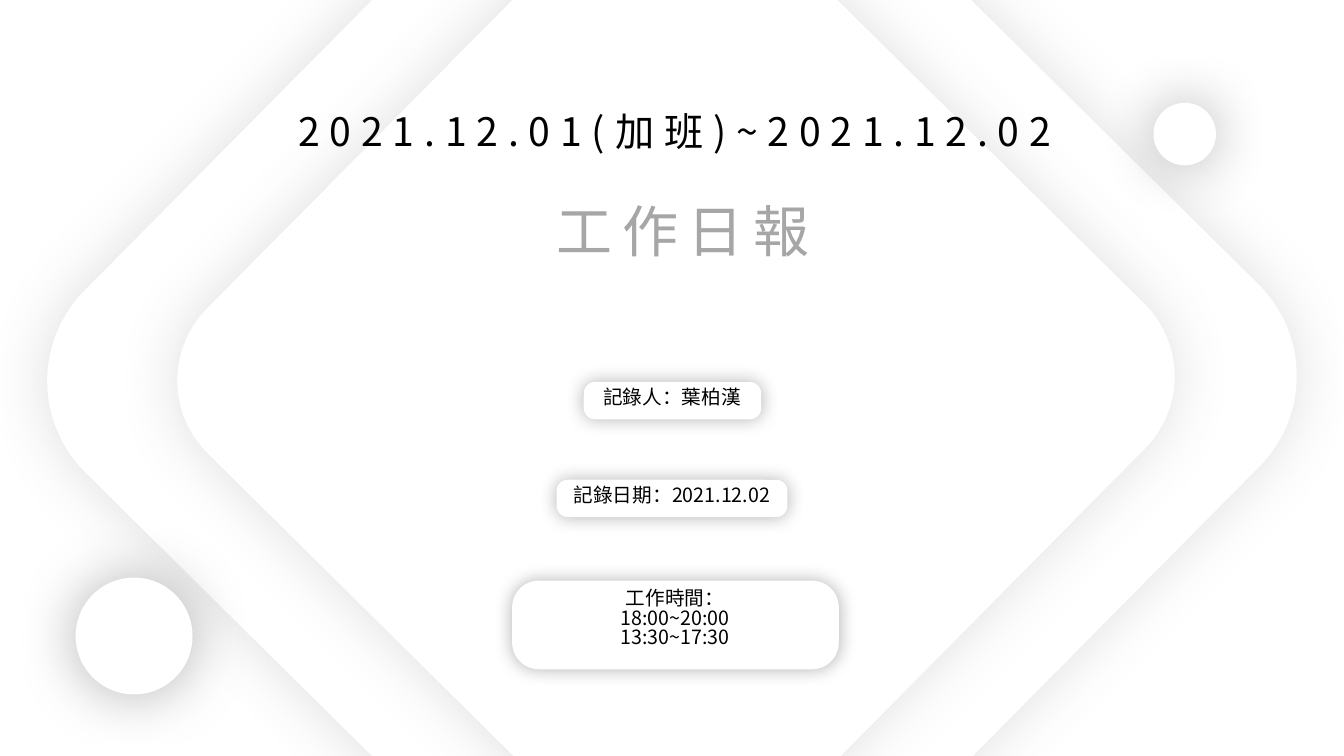
from lxml import etree
from pptx import Presentation
from pptx.dml.color import RGBColor
from pptx.enum import shapes, text
from pptx.oxml import ns
from pptx.util import Inches, Pt

FONT = "Noto Sans CJK SC"
COLORS = {"white": "FFFFFF", "black": "000000", "shade": "595959", "title": "A6A6A6"}
ROUNDED = shapes.MSO_SHAPE.ROUNDED_RECTANGLE
OVAL = shapes.MSO_SHAPE.OVAL


def add_glow(shape, color, opacity, blur):
    """Give the shape a soft shadow that spreads evenly on all sides."""
    shape.shadow.inherit = False
    effects = shape.element.spPr.find(ns.qn("a:effectLst"))
    shadow = etree.SubElement(effects, ns.qn("a:outerShdw"), blurRad=str(Pt(blur)),
                              dist="0", dir="0", algn="ctr", rotWithShape="0")
    tint = etree.SubElement(shadow, ns.qn("a:srgbClr"), val=COLORS[color])
    etree.SubElement(tint, ns.qn("a:alpha"), val=str(opacity * 1000))


def add_white_shape(parent, kind, place, color="black", opacity=30, blur=43):
    shape = parent.shapes.add_shape(kind, *map(Inches, place))
    shape.fill.solid()
    shape.fill.fore_color.rgb = RGBColor.from_string(COLORS["white"])
    shape.line.fill.background()
    add_glow(shape, color, opacity, blur)
    return shape


def add_diamond(page, left, top, side):
    diamond = add_white_shape(page, ROUNDED, (left, top, side, side), "shade", 19)
    diamond.adjustments[0] = 0.134
    diamond.rotation = 44.7


def write(box, words, size, color="black", spacing=0):
    frame = box.text_frame
    frame.text = words
    frame.word_wrap = True
    frame.auto_size = text.MSO_AUTO_SIZE.SHAPE_TO_FIT_TEXT
    frame.vertical_anchor = text.MSO_ANCHOR.TOP
    for para in frame.paragraphs:
        para.alignment = text.PP_ALIGN.CENTER
        para.line_spacing = 0.84
        for span in para.runs:
            span.font.size = Pt(size)
            span.font.name = FONT
            span.font.color.rgb = RGBColor.from_string(COLORS[color])
            props = span.font._element
            etree.SubElement(props, ns.qn("a:ea"), typeface=FONT)
            if spacing:
                props.set("spc", str(spacing * 100))


def add_label(page, pill_place, text_place, words):
    """Group a rounded pill with the text box that lies on it."""
    group = page.shapes.add_group_shape()
    pill = add_white_shape(group, ROUNDED, pill_place, blur=13)
    pill.adjustments[0] = 0.302
    write(group.shapes.add_textbox(*map(Inches, text_place)), words, 14)


def place_title(page):
    title = page.shapes.title
    title.left, title.top, title.width, title.height = map(Inches, (4.4, 2.01, 4.75, 0.77))
    write(title, "工作日報", 40, "title", 7)
    # The title has to lie in front of the diamonds.
    title.element.getparent().append(title.element)


def main():
    deck = Presentation()
    deck.slide_width, deck.slide_height = Inches(13.33), Inches(7.5)
    page = deck.slides.add_slide(deck.slide_layouts[5])
    page.background.fill.solid()
    page.background.fill.fore_color.rgb = RGBColor.from_string(COLORS["white"])

    add_diamond(page, 1.91, -1, 9.51)
    add_diamond(page, 2.91, -0.04, 7.59)

    period = page.shapes.add_textbox(*map(Inches, (2.66, 1.09, 8.07, 0.57)))
    write(period, "2021.12.01(加班)~2021.12.02", 28, spacing=7)
    place_title(page)

    for left, top, size in ((0.75, 5.73, 1.16), (11.44, 1.02, 0.62)):
        add_white_shape(page, OVAL, (left, top, size, size))

    add_label(page, (5.79, 3.79, 1.76, 0.37), (5.62, 3.81, 2.09, 0.34), "記錄人：葉柏漢")
    add_label(page, (5.52, 4.76, 2.29, 0.37), (5.46, 4.78, 2.41, 0.34), "記錄日期：2021.12.02")
    add_label(page, (5.08, 5.76, 3.24, 0.88), (4.99, 5.8, 3.41, 0.81),
              "工作時間：\n18:00~20:00\n13:30~17:30")
    deck.save("out.pptx")


if __name__ == "__main__":
    main()
